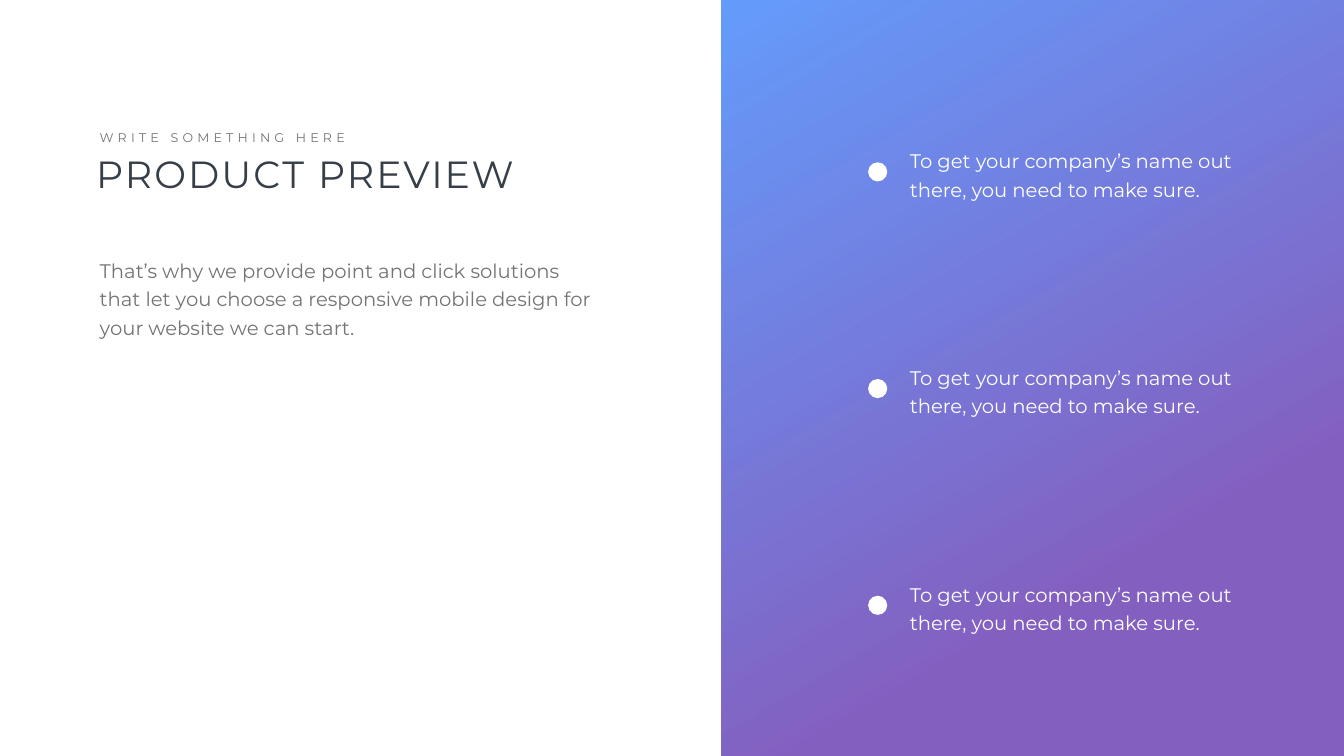
from dataclasses import dataclass
from typing import Optional

from pptx import Presentation
from pptx.dml.color import RGBColor
from pptx.enum.shapes import MSO_SHAPE
from pptx.enum.text import MSO_AUTO_SIZE
from pptx.oxml.ns import qn
from pptx.shapes.group import GroupShape
from pptx.slide import Slide
from pptx.util import Inches, Pt

RECT, OVAL = MSO_SHAPE.RECTANGLE, MSO_SHAPE.OVAL
GROW = MSO_AUTO_SIZE.SHAPE_TO_FIT_TEXT
FONT = "Montserrat"
WHITE, GREY, DARK = "FFFFFF", "737572", "363E48"
BLUE, PURPLE = "3F85FC", "663BB2"
POINT = "To get your company’s name out there, you need to make sure."


@dataclass
class Label:
    text: str
    left: float
    top: float
    width: float
    height: float
    size: float
    color: str
    track: float = 0
    line: Optional[float] = None
    wrap: bool = True


INTRO = [
    Label("PRODUCT PREVIEW", 1.81, 2.94, 9.57, 1.01, 54, DARK, track=3),
    Label("WRITE SOMETHING HERE", 1.88, 2.53, 5.18, 0.4, 18, GREY,
          track=6, wrap=False),
    Label("That’s why we provide point and click solutions that let you "
          "choose a responsive mobile design for your website we can start.",
          1.88, 4.98, 10.21, 1.78, 28, GREY, line=40.8),
]


def rgb(code: str) -> RGBColor:
    return RGBColor.from_string(code)


def add_label(group: GroupShape, label: Label) -> None:
    box = group.shapes.add_textbox(Inches(label.left), Inches(label.top),
                                   Inches(label.width), Inches(label.height))
    frame = box.text_frame
    frame.word_wrap = label.wrap
    frame.auto_size = GROW
    para = frame.paragraphs[0]
    if label.line:
        para.line_spacing = Pt(label.line)
    run = para.add_run()
    run.text = label.text
    run.font.name = FONT
    run.font.size = Pt(label.size)
    run.font.color.rgb = rgb(label.color)
    if label.track:
        run.font._element.set("spc", str(round(label.track * 100)))


def add_panel(slide: Slide) -> None:
    """Draw the right-hand panel with its translucent gradient."""
    panel = slide.shapes.add_shape(RECT, Inches(14.31), 0,
                                   Inches(12.35), Inches(15))
    panel.shadow.inherit = False
    panel.line.fill.background()
    fill = panel.fill
    fill.gradient()
    fill.gradient_angle = 300
    for stop, (pos, code) in zip(fill.gradient_stops,
                                 [(0, BLUE), (0.71, PURPLE)]):
        stop.position = pos
        stop.color.rgb = rgb(code)
    for node in panel._element.spPr.iter(qn("a:srgbClr")):
        alpha = node.makeelement(qn("a:alpha"), {"val": "80000"})
        node.append(alpha)


def add_point(slide: Slide, top: float) -> None:
    """Draw one white dot with its text."""
    group = slide.shapes.add_group_shape()
    dot = group.shapes.add_shape(OVAL, Inches(17.22), Inches(top + 0.41),
                                 Inches(0.38), Inches(0.38))
    dot.shadow.inherit = False
    dot.fill.solid()
    dot.fill.fore_color.rgb = rgb(WHITE)
    dot.line.fill.background()
    add_label(group, Label(POINT, 17.95, top, 6.89, 1.2, 28, WHITE, line=40.8))


def main() -> None:
    deck = Presentation()
    deck.slide_width, deck.slide_height = Inches(26.66), Inches(15)
    slide = deck.slides.add_slide(deck.slide_layouts[6])
    add_panel(slide)
    intro = slide.shapes.add_group_shape()
    for label in INTRO:
        add_label(intro, label)
    for row in range(3):
        add_point(slide, 2.81 + 4.3 * row)
    deck.save("out.pptx")


if __name__ == "__main__":
    main()
